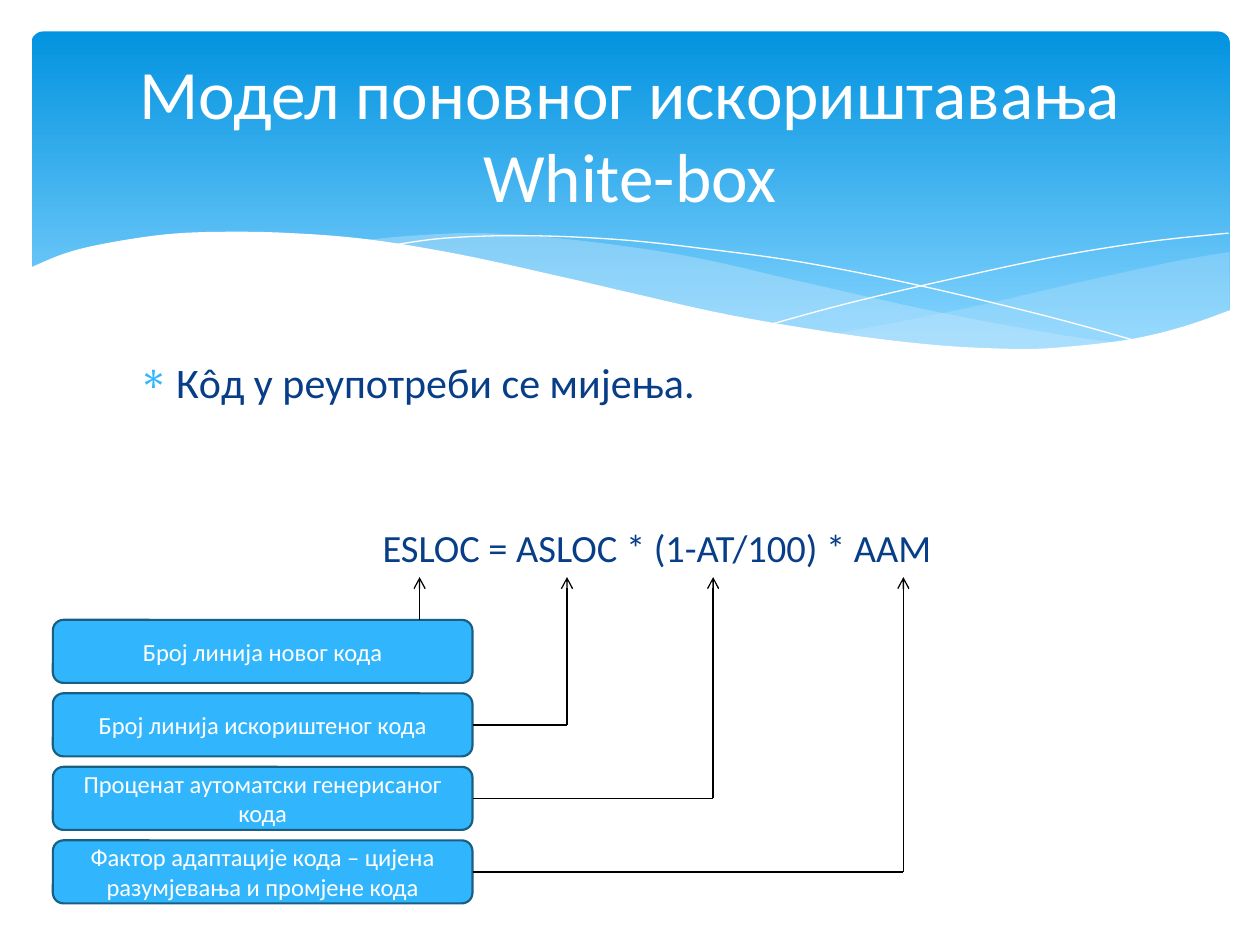
from dataclasses import dataclass
from typing import Optional

from lxml.etree import SubElement
from pptx import Presentation
from pptx.dml.color import RGBColor
from pptx.enum.shapes import MSO_CONNECTOR, MSO_SHAPE
from pptx.enum.text import MSO_ANCHOR, PP_ALIGN
from pptx.oxml.ns import qn
from pptx.util import Inches, Pt

COLORS = {
    "sky_top": "0293E0", "sky_bottom": "83D3FE", "mist": "C6E7FC",
    "white": "FFFFFF", "navy": "073E87", "box": "31B6FD",
    "box_edge": "195F84", "black": "000000",
}
FONT = "Calibri"

# Grid of the label boxes: one column, equal row pitch
BOX_LEFT, BOX_TOP, BOX_WIDTH, BOX_HEIGHT = 0.42, 4.92, 3.33, 0.5
ROW_PITCH = 7 / 12
ARROW_TIP = 4.58


@dataclass
class Wave:
    """Curves are smoothed through their points; corners close the outline."""
    curves: list
    corners: list
    fill: Optional[str] = None
    opacity: int = 100


@dataclass
class Label:
    text: str
    term_x: float  # horizontal place of the formula term it explains


WAVES = [
    Wave([[(9.76, 2), (9.35, 2.07), (8.61, 2.23), (7.79, 2.42), (7.06, 2.57), (6.61, 2.65)],
          [(6.61, 2.65), (7.05, 2.71), (7.57, 2.76), (8.14, 2.78), (8.72, 2.74),
           (9.21, 2.65), (9.49, 2.57), (9.76, 2.47)]], [], "mist", 29),
    Wave([[(8.93, 2.73), (8.37, 2.65), (7.41, 2.47), (6.29, 2.22), (5.69, 2.08), (5.14, 1.98),
           (4.42, 1.89), (3.8, 1.85), (3.28, 1.87), (2.86, 1.91)],
          [(2.86, 1.91), (3.42, 1.99), (4.04, 2.11), (4.49, 2.22), (5.3, 2.4), (6.01, 2.55),
           (6.8, 2.68), (7.48, 2.76), (8.07, 2.78), (8.57, 2.77), (8.93, 2.73)]], [], "mist", 40),
    Wave([[(3.09, 1.95), (3.53, 1.89), (4.16, 1.87), (4.89, 1.9), (5.56, 1.97), (6.36, 2.08),
           (7.27, 2.26), (8.31, 2.51), (9.07, 2.72)]], []),
    Wave([[(6.13, 2.57), (6.72, 2.41), (7.48, 2.23), (8.36, 2.04), (9.1, 1.92), (9.75, 1.85)]], []),
    Wave([[(9.77, 2.46), (9.4, 2.59), (8.99, 2.69), (8.5, 2.75), (8.09, 2.77), (7.44, 2.74),
           (6.68, 2.65), (5.79, 2.5), (5.03, 2.33), (4.47, 2.2), (3.65, 2.02), (2.92, 1.9),
           (2.3, 1.85), (1.77, 1.84), (1.32, 1.86), (0.85, 1.93), (0.52, 2.01), (0.23, 2.13)]],
         [(0.23, 3.29), (9.77, 3.29)], "white"),
]

LABELS = [
    Label("Број линија новог кода", 3.33),
    Label("Број линија искориштеног кода", 4.5),
    Label("Проценат аутоматски генерисаног кода", 5.66),
    Label("Фактор адаптације кода – цијена разумјевања и промјене кода", 7.17),
]


def color(name: str) -> RGBColor:
    return RGBColor.from_string(COLORS[name])


def smooth(points: list, steps: int = 6) -> list:
    """Catmull-Rom curve through the given points."""
    padded = [points[0], *points, points[-1]]
    result = [points[0]]
    for a, b, c, d in zip(padded, padded[1:], padded[2:], padded[3:]):
        for step in range(1, steps + 1):
            t = step / steps
            result.append(tuple(
                0.5 * (2 * q + (r - p) * t + (2 * p - 5 * q + 4 * r - s) * t ** 2
                       + (3 * q - p - 3 * r + s) * t ** 3)
                for p, q, r, s in zip(a, b, c, d)))
    return result


def apply_format(target, values: dict) -> None:
    for name, value in values.items():
        setattr(target, name, value)


def format_text(paragraph, size: float, color_name: str, **values) -> None:
    apply_format(paragraph, values)
    apply_format(paragraph.font, {"name": FONT, "size": Pt(size)})
    paragraph.font.color.rgb = color(color_name)


def add_wave(slide, wave: Wave) -> None:
    points = [point for curve in wave.curves for point in smooth(curve)] + wave.corners
    points = [(Inches(x), Inches(y)) for x, y in points]
    builder = slide.shapes.build_freeform(*points[0])
    builder.add_line_segments(points[1:], close=wave.fill is not None)
    shape = builder.convert_to_shape()
    shape.shadow.inherit = False
    if wave.fill is None:
        shape.fill.background()
        shape.line.color.rgb = color("white")
        shape.line.width = Pt(0)
        return
    shape.line.fill.background()
    shape.fill.solid()
    shape.fill.fore_color.rgb = color(wave.fill)
    if wave.opacity < 100:
        rgb = shape.fill._xPr.find(".//" + qn("a:srgbClr"))
        SubElement(rgb, qn("a:alpha"), val=str(wave.opacity * 1000))


def add_banner(slide) -> None:
    shape = slide.shapes.add_shape(MSO_SHAPE.ROUNDED_RECTANGLE, Inches(0.25), Inches(0.25),
                                   Inches(9.51), Inches(2.7))
    shape.adjustments[0] = 0.034
    shape.shadow.inherit = False
    shape.line.fill.background()
    shape.fill.gradient()
    shape.fill.gradient_angle = 270
    stops = zip(shape.fill.gradient_stops, ("sky_top", "sky_bottom"), (0, 0.9))
    for stop, name, position in stops:
        stop.color.rgb = color(name)
        stop.position = position


def add_text_box(slide, left: float, top: float, width: float, height: float, anchor):
    box = slide.shapes.add_textbox(Inches(left), Inches(top), Inches(width), Inches(height))
    apply_format(box.text_frame, {"word_wrap": True, "vertical_anchor": anchor})
    return box.text_frame


def set_bullet(paragraph, character: str, color_name: str, indent: float) -> None:
    properties = paragraph._p.get_or_add_pPr()
    properties.set("marL", str(Inches(indent)))
    properties.set("indent", str(-Inches(indent)))
    bullet_color = SubElement(properties, qn("a:buClr"))
    SubElement(bullet_color, qn("a:srgbClr"), val=COLORS[color_name])
    SubElement(properties, qn("a:buChar"), char=character)


def add_line(slide, start: tuple, end: tuple, arrow: bool = False) -> None:
    line = slide.shapes.add_connector(MSO_CONNECTOR.STRAIGHT,
                                      *(Inches(value) for value in (*start, *end)))
    line.line.color.rgb = color("black")
    line.line.width = Pt(0.75)
    if arrow:
        SubElement(line.line._get_or_add_ln(), qn("a:tailEnd"), type="arrow")
    SubElement(line._element.spPr, qn("a:effectLst"))


def add_label(slide, label: Label, row: int) -> None:
    top = BOX_TOP + row * ROW_PITCH
    shape = slide.shapes.add_shape(MSO_SHAPE.ROUNDED_RECTANGLE, Inches(BOX_LEFT), Inches(top),
                                   Inches(BOX_WIDTH), Inches(BOX_HEIGHT))
    shape.shadow.inherit = False
    shape.fill.solid()
    shape.fill.fore_color.rgb = color("box")
    shape.line.color.rgb = color("box_edge")
    shape.line.width = Pt(1.25)
    frame = shape.text_frame
    apply_format(frame, {"word_wrap": True, "vertical_anchor": MSO_ANCHOR.MIDDLE})
    frame.text = label.text
    format_text(frame.paragraphs[0], 14, "white", alignment=PP_ALIGN.CENTER)


def add_pointer(slide, label: Label, row: int) -> None:
    right = BOX_LEFT + BOX_WIDTH
    start_y = BOX_TOP + row * ROW_PITCH
    if label.term_x > right:
        start_y += BOX_HEIGHT / 2
        add_line(slide, (right, start_y), (label.term_x, start_y))
    add_line(slide, (label.term_x, start_y), (label.term_x, ARROW_TIP), arrow=True)


def main() -> None:
    presentation = Presentation()
    presentation.slide_width, presentation.slide_height = Inches(10), Inches(7.5)
    slide = presentation.slides.add_slide(presentation.slide_layouts[6])

    # Banner with waves
    add_banner(slide)
    for wave in WAVES:
        add_wave(slide, wave)

    # Statement and formula
    body = add_text_box(slide, 1, 2.78, 8.1, 2.07, MSO_ANCHOR.TOP)
    body.text = "Кôд у реупотреби се мијења.\nESLOC = ASLOC * (1-AT/100) * AAM"
    statement, formula = body.paragraphs
    set_bullet(statement, "∗", "box", 0.3)
    format_text(statement, 24, "navy")
    formula._p.get_or_add_pPr().set("marL", str(Inches(0.33)))
    format_text(formula, 22, "navy", alignment=PP_ALIGN.CENTER, space_before=Pt(67))

    # Title
    title = add_text_box(slide, 0.5, 0.37, 9, 1.37, MSO_ANCHOR.MIDDLE)
    title.text = "Модел поновног искориштавања\vWhite-box"
    format_text(title.paragraphs[0], 39.6, "white", alignment=PP_ALIGN.CENTER)

    # Explanations of the formula terms
    for draw in (add_label, add_pointer):
        for row, label in enumerate(LABELS):
            draw(slide, label, row)

    presentation.save("out.pptx")


if __name__ == "__main__":
    main()
